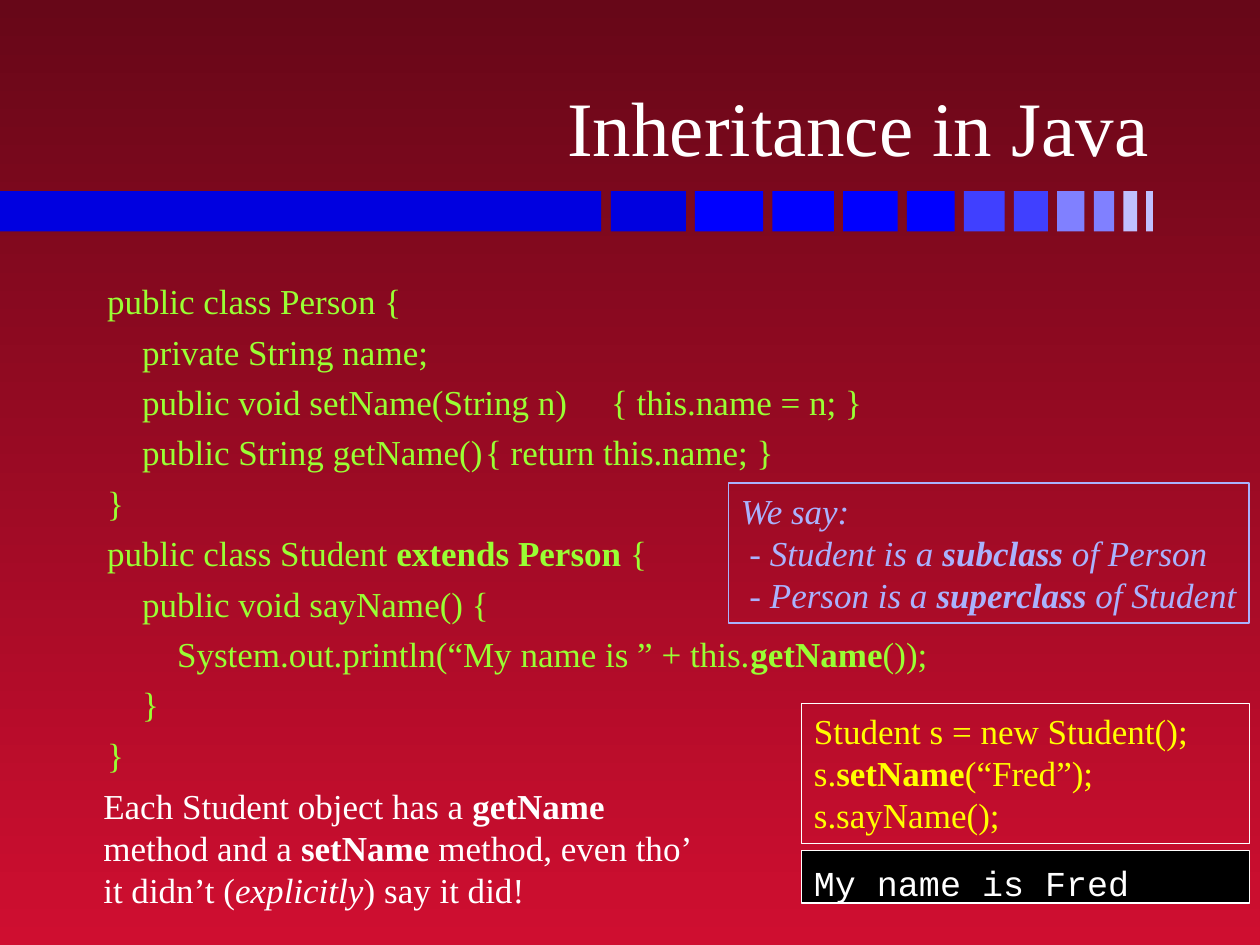
from pptx import Presentation
from pptx.dml.color import RGBColor as RGB
from pptx.enum.shapes import MSO_SHAPE as SHAPE
from pptx.enum.text import MSO_ANCHOR as ANCHOR, MSO_AUTO_SIZE as AUTO, PP_ALIGN as ALIGN
from pptx.oxml.ns import qn
from pptx.util import Pt
from lxml.etree import SubElement

HUES = {
    "top": "670718", "base": "CF0E30", "white": "FFFFFF", "black": "000000",
    "code": "99FF33", "call": "FFFF00", "say": "AAB2FD",
    "navy": "0000E0", "blue": "0000FF", "mid": "4040FF",
    "soft": "8080FF", "pale": "C0C0FF",
}
SERIF, MONO = "Times New Roman", "Courier New"

# A line is a list of runs; a run is plain text or (text, font attribute).
CODE = [
    ["public class Person {"],
    ["    private String name;"],
    ["    public void setName(String n)\t{ this.name = n; }"],
    ["    public String getName()\t{ return this.name; }"],
    ["}"],
    ["public class Student ", ("extends Person ", "bold"), "{"],
    ["    public void sayName() {"],
    ["        System.out.println(“My name is ” + this.", ("getName", "bold"), "());"],
    ["    }"],
    ["}"],
]
TABS = {2: 287, 3: 264}
CALLS = [
    ["Student s = new Student();"],
    ["s.", ("setName", "bold"), "(“Fred”);"],
    ["s.sayName();"],
]
NOTE = [[
    "Each Student object has a ", ("getName ", "bold"), "method and a ",
    ("setName ", "bold"), "method, even tho’ it didn’t (",
    ("explicitly", "italic"), ") say it did!",
]]
SAY = [
    ["We say:"],
    [" - Student is a ", ("subclass", "bold"), " of Person"],
    [" - Person is a ", ("superclass", "bold"), " of Student"],
]


def hue(name):
    return RGB.from_string(HUES[name])


def paint(fill, name):
    fill.solid()
    fill.fore_color.rgb = hue(name)


def place(shape, box):
    for side, val in zip(("left", "top", "width", "height"), box):
        setattr(shape, side, Pt(val))


def write(shape, lines, color, size=20, face=SERIF, align=ALIGN.LEFT,
          anchor=ANCHOR.TOP, wrap=True, gap=0, slant=False, tabs=None):
    """Fill a shape with lines of styled runs."""
    frame = shape.text_frame
    form = {"auto_size": AUTO.NONE, "word_wrap": wrap, "vertical_anchor": anchor}
    for key, val in form.items():
        setattr(frame, key, val)
    for row, line in enumerate(lines):
        para = frame.paragraphs[0] if row == 0 else frame.add_paragraph()
        para.alignment = align
        para.space_before = Pt(gap if row else 0)
        trim(para, (tabs or {}).get(row))
        for part in line:
            text, mark = part if isinstance(part, tuple) else (part, None)
            run = para.add_run()
            run.text = text
            look = {"name": face, "size": Pt(size), "bold": False, "italic": slant}
            if mark:
                look[mark] = True
            for key, val in look.items():
                setattr(run.font, key, val)
            run.font.color.rgb = hue(color)


def trim(para, tab):
    """Clear bullet and indent, and set a tab stop if one is given."""
    props = para._p.get_or_add_pPr()
    props.set("marL", "0")
    props.set("indent", "0")
    SubElement(props, qn("a:buNone"))
    if tab:
        stops = SubElement(props, qn("a:tabLst"))
        SubElement(stops, qn("a:tab"), pos=str(Pt(tab)), algn="l")


def block(slide, box, fill=None, line=None, width=0.75):
    shape = slide.shapes.add_shape(SHAPE.RECTANGLE, *map(Pt, box))
    shape.shadow.inherit = False
    if fill:
        paint(shape.fill, fill)
    else:
        shape.fill.background()
    if line:
        paint(shape.line.fill, line)
        shape.line.width = Pt(width)
    else:
        shape.line.fill.background()
    return shape


def shade(slide):
    fill = slide.background.fill
    fill.gradient()
    fill.gradient_angle = 270
    for stop, name, pos in zip(fill.gradient_stops, ("top", "base"), (0, 1)):
        stop.color.rgb = hue(name)
        stop.position = pos


def strip(slide):
    """Draw the long bar and the ever narrower bars after it."""
    top, high, step, gap = 109.2, 23, 3.9, 5.25
    block(slide, (0, top, 343.5, high), "navy")
    tones = ["navy"] + ["blue"] * 4 + ["mid"] * 2 + ["soft"] * 2 + ["pale"] * 2
    left = 349
    for rank, tone in enumerate(tones):
        wide = step * (len(tones) - rank)
        block(slide, (left, top, wide, high), tone)
        left += wide + gap


def main():
    deck = Presentation()
    deck.slide_width, deck.slide_height = Pt(720), Pt(540)
    slide = deck.slides.add_slide(deck.slide_layouts[1])
    shade(slide)
    strip(slide)

    title, body = slide.placeholders
    place(title, (53.5, 13.5, 610.5, 88.5))
    write(title, [["Inheritance in Java"]], "white", size=44,
          align=ALIGN.RIGHT, anchor=ANCHOR.BOTTOM)
    place(body, (54, 156.2, 612, 324))
    write(body, CODE, "code", gap=4.8, tabs=TABS)

    calls = block(slide, (458, 402, 256, 80), line="white")
    write(calls, CALLS, "call")
    shown = block(slide, (458, 486, 256, 30), "black", "white", 1)
    shown.text_frame.margin_top = Pt(6.5)
    shown.text_frame.margin_bottom = 0
    write(shown, [["My name is Fred"]], "white", face=MONO)

    note = slide.shapes.add_textbox(*map(Pt, (52, 444.5, 354, 80)))
    write(note, NOTE, "white")
    say = block(slide, (416.2, 276, 297.6, 80), line="say")
    write(say, SAY, "say", wrap=False, slant=True)
    deck.save("out.pptx")


if __name__ == "__main__":
    main()
